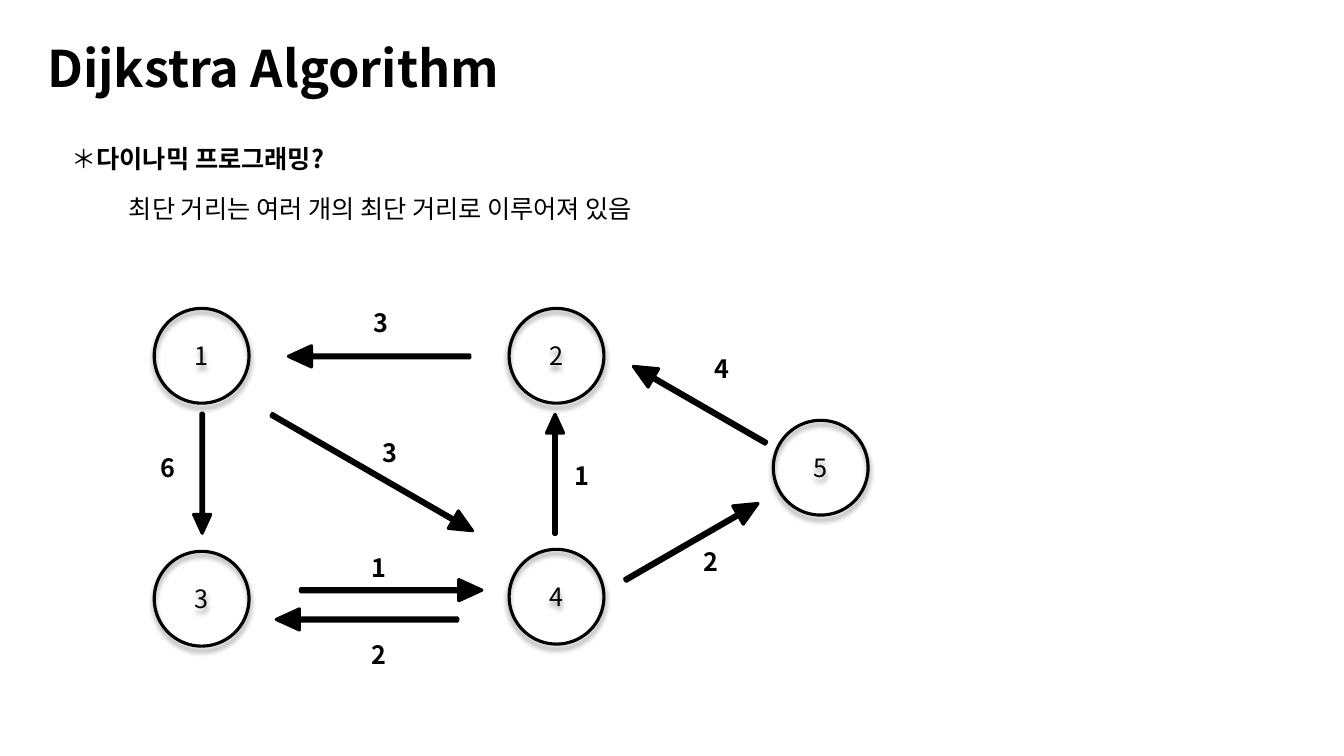
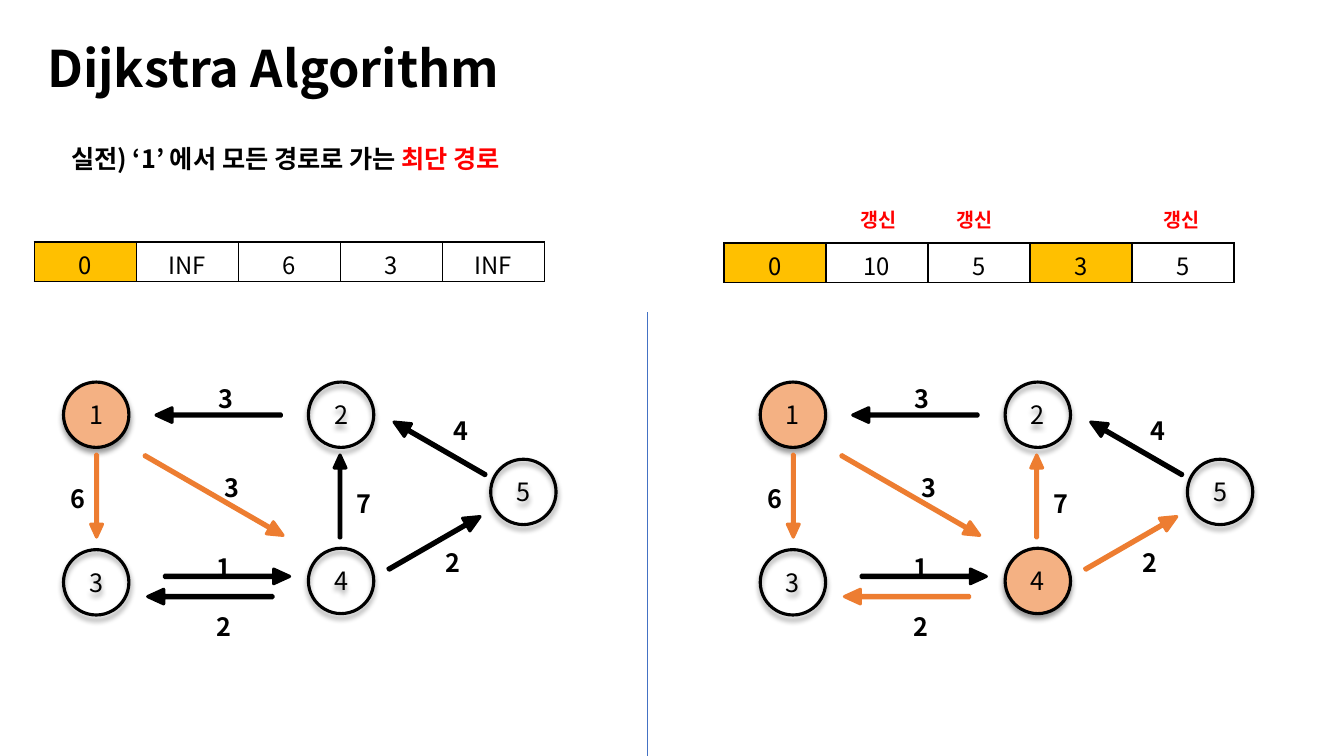
from collections import namedtuple
from lxml import etree
from pptx import Presentation
from pptx.dml.color import RGBColor as RGB
from pptx.enum.shapes import MSO_CONNECTOR as LINK, MSO_SHAPE as SHAPE
from pptx.enum.text import MSO_ANCHOR as ANCHOR, MSO_AUTO_SIZE as FIT, PP_ALIGN as ALIGN
from pptx.oxml import parse_xml
from pptx.oxml.ns import nsdecls, qn
from pptx.util import Inches, Pt

BLACK = RGB(0, 0, 0)
WHITE = RGB(255, 255, 255)
RED = RGB(255, 0, 0)
BLUE = RGB(0x44, 0x72, 0xC4)
ORANGE = RGB(0xED, 0x7D, 0x31)
PEACH = RGB(0xF4, 0xB1, 0x83)
GOLD = RGB(0xFF, 0xC0, 0)

FACE = "Noto Sans CJK KR"
PLAIN = {"name": FACE, "size": Pt(18), "bold": False}
BOLD = PLAIN | {"bold": True}
TITLE = BOLD | {"size": Pt(36)}
SMALL = BOLD | {"size": Pt(14)}
CELL = PLAIN | {"size": Pt(17)}

# Graph lengths are inches from the top left of node 1 at full scale.
DISC = 0.94
NODES = {"1": (0, 0), "2": (3.52, 0), "3": (0, 2.41),
         "4": (3.52, 2.39), "5": (6.14, 1.11)}
Edge = namedtuple("Edge", "start end cost box turn label")
EDGES = [
    Edge("2", "1", "3", (1.33, 0.37, 1.8, 0.21), 180, (2.08, -0.06)),
    Edge("1", "3", "6", (-0.12, 1.55, 1.19, 0.17), 90, (-0.04, 1.38)),
    Edge("4", "2", "1", (3.38, 1.56, 1.19, 0.17), 270, (4.07, 1.46)),
    Edge("4", "5", "2", (4.57, 2.21, 1.52, 0.21), 330, (5.35, 2.31)),
    Edge("3", "4", "1", (1.45, 2.69, 1.8, 0.21), 0, (2.06, 2.37)),
    Edge("4", "3", "2", (1.21, 2.98, 1.8, 0.21), 180, (2.06, 3.23)),
    Edge("5", "2", "4", (4.65, 0.85, 1.52, 0.21), 210, (5.46, 0.4)),
    Edge("1", "4", "3", (1.01, 1.53, 2.3, 0.2), 30, (2.17, 1.23)),
]


def inch(box):
    """Turn a row of inches into lengths."""
    return [Inches(n) for n in box]


def write(para, words, look, color=BLACK):
    """Add one run with the given look to a paragraph."""
    run = para.add_run()
    run.text = words
    for key, value in look.items():
        setattr(run.font, key, value)
    run.font.color.rgb = color
    etree.SubElement(run.font._element, qn("a:ea"), typeface=FACE)


def text(shapes, box, runs, wrap=True):
    """Place a text box that holds one line of runs."""
    frame = shapes.add_textbox(*inch(box)).text_frame
    frame.word_wrap = wrap
    frame.auto_size = FIT.SHAPE_TO_FIT_TEXT
    for run in runs:
        write(frame.paragraphs[0], *run)
    return frame


def form(shapes, kind, box, fill, line=BLACK):
    """Place a flat preset shape with an outline."""
    shape = shapes.add_shape(kind, *inch(box))
    shape.shadow.inherit = False
    if fill is None:
        shape.fill.background()
    else:
        shape.fill.solid()
        shape.fill.fore_color.rgb = fill
    shape.line.color.rgb = line
    shape.line.width = Pt(2.25)
    return shape


def node(shapes, box, name, fill):
    """Draw a numbered disc with a soft shadow below it."""
    disc = form(shapes, SHAPE.OVAL, box, fill)
    disc.element.spPr.find(qn("a:effectLst")).append(parse_xml(
        f'<a:outerShdw {nsdecls("a")} blurRad="50800" dist="38100" dir="5400000"'
        ' algn="t" rotWithShape="0"><a:srgbClr val="000000">'
        '<a:alpha val="40000"/></a:srgbClr></a:outerShdw>'))
    frame = disc.text_frame
    frame.vertical_anchor = ANCHOR.MIDDLE
    para = frame.paragraphs[0]
    para.alignment = ALIGN.CENTER
    write(para, name, PLAIN)


def arrow(shapes, box, turn, color):
    """Draw a thin block arrow turned by some degrees."""
    shape = form(shapes, SHAPE.RIGHT_ARROW, box, color, color)
    shape.adjustments[0] = 0.148
    shape.adjustments[1] = 1.093
    shape.rotation = turn


def graph(shapes, left, top, scale=1, done="", costs={}):
    """Draw the graph; done nodes and the edges leaving them are lit."""
    def place(x, y, wide, high):
        return left + x * scale, top + y * scale, wide * scale, high * scale

    for name, spot in NODES.items():
        node(shapes, place(*spot, DISC, DISC), name, PEACH if name in done else None)
    for edge in EDGES:
        color = ORANGE if edge.start in done else BLACK
        arrow(shapes, place(*edge.box), edge.turn, color)
    for edge in EDGES:
        cost = costs.get(edge.start + edge.end, edge.cost)
        text(shapes, place(*edge.label, 0.35, 0.4), [(cost, BOLD)], wrap=False)


def border(cell):
    """Give a cell a thin black line on all sides."""
    props = cell._tc.get_or_add_tcPr()
    for side in ("lnL", "lnR", "lnT", "lnB"):
        props.append(parse_xml(
            f'<a:{side} {nsdecls("a")} w="12700"><a:solidFill>'
            f'<a:srgbClr val="{BLACK}"/></a:solidFill></a:{side}>'))


def costs_row(shapes, left, top, values, done, marks=()):
    """Draw the row of distances, with update marks above it."""
    grid = shapes.add_table(1, len(values), *inch((left, top, 5.06, 0.39))).table
    grid.first_row = grid.horz_banding = False
    for i, value in enumerate(values):
        cell = grid.cell(0, i)
        border(cell)
        cell.fill.solid()
        cell.fill.fore_color.rgb = GOLD if i + 1 in done else WHITE
        para = cell.text_frame.paragraphs[0]
        para.alignment = ALIGN.CENTER
        write(para, value, CELL)
    for x in marks:
        text(shapes, (left + x, top - 0.4, 0.65, 0.34), [("갱신", SMALL, RED)])


def rule(shapes, x, top, end):
    """Draw the thin upright line between the halves."""
    line = shapes.add_connector(LINK.STRAIGHT, *inch((x, top, x, end)))
    line.line.color.rgb = BLUE
    line.line.width = Pt(0.5)
    etree.SubElement(line.element.spPr, qn("a:effectLst"))


def page(deck, lead):
    """Add a slide with the shared title and a lead line."""
    shapes = deck.slides.add_slide(deck.slide_layouts[6]).shapes
    frame = text(shapes, (0, 0.46, 5.42, 0.57), [("Dijkstra Algorithm", TITLE)])
    frame.auto_size = FIT.NONE
    frame.vertical_anchor = ANCHOR.BOTTOM
    para = frame.paragraphs[0]
    para.alignment = ALIGN.CENTER
    para.line_spacing = 0.9
    text(shapes, (0.61, 1.37, 7.74, 0.71), lead)
    return shapes


def intro(deck):
    """Build the slide that shows the whole graph."""
    shapes = page(deck, [("＊", PLAIN), ("다이나믹 프로그래밍?", BOLD)])
    text(shapes, (1.18, 1.87, 6.07, 0.4),
         [("최단 거리는 여러 개의 최단 거리로 이루어져 있음", PLAIN)])
    graph(shapes, 1.53, 3.06)


def steps(deck):
    """Build the slide that sets two steps side by side."""
    shapes = page(deck, [("실전) ‘1’ 에서 모든 경로로 가는 ", BOLD),
                         ("최단 경로", BOLD, RED)])
    halves = [
        (0.63, 0.34, 2.4, "1", ("0", "INF", "6", "3", "INF"), ()),
        (7.54, 7.18, 2.41, "14", ("0", "10", "5", "3", "5"), (1.26, 2.21, 4.26)),
    ]
    for left, edge, top, done, values, marks in halves:
        group = shapes.add_group_shape().shapes
        graph(group, left, 3.79, 0.69, done, {"42": "7"})
        costs_row(shapes, edge, top, values, [int(n) for n in done], marks)
    rule(shapes, 6.42, 3.1, 7.5)


deck = Presentation()
deck.slide_width, deck.slide_height = inch((13.33, 7.5))
intro(deck)
steps(deck)
deck.save("out.pptx")
